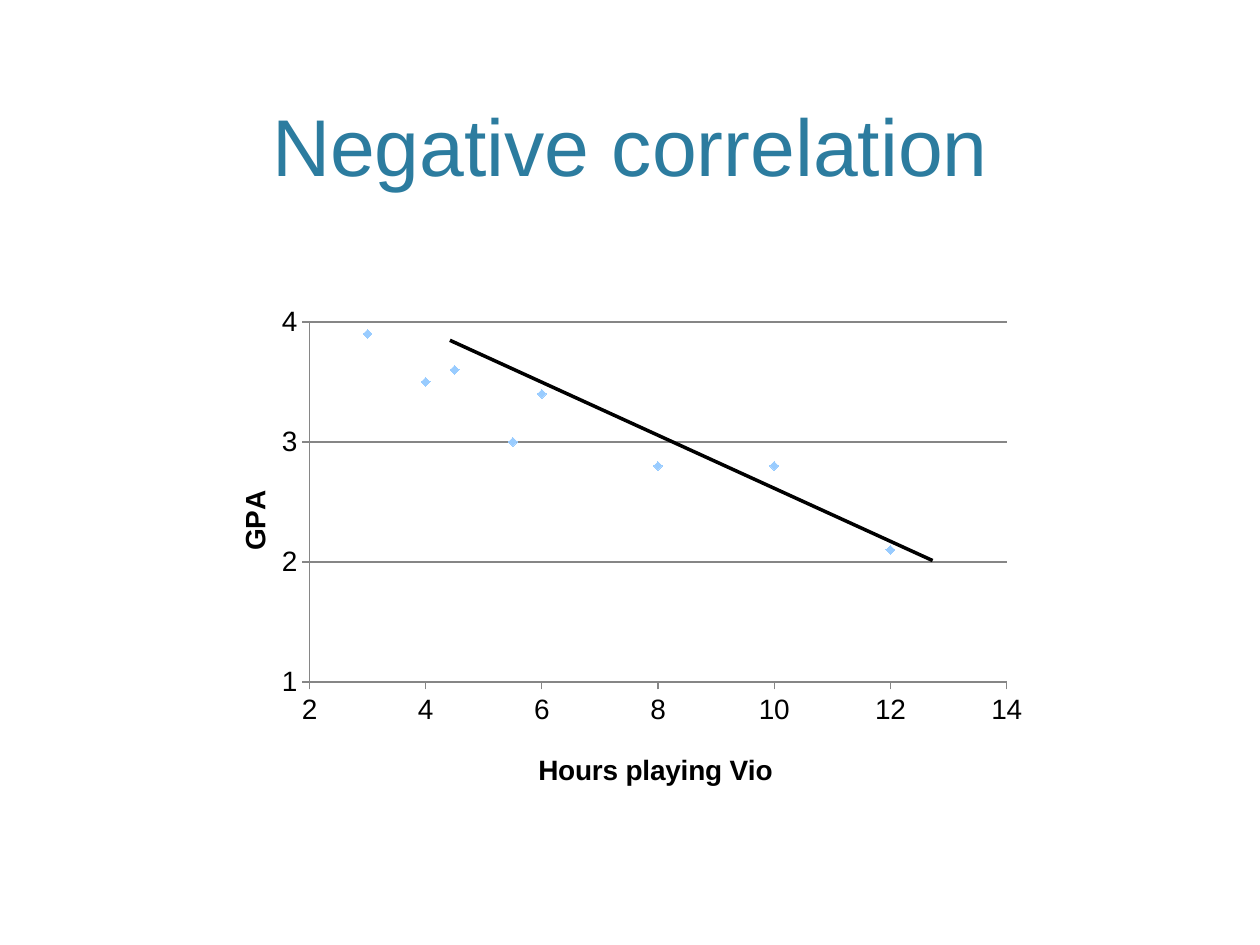
from dataclasses import dataclass

from lxml import etree
from pptx import Presentation
from pptx.chart.data import XyChartData
from pptx.dml.color import RGBColor
from pptx.enum.chart import XL_CHART_TYPE, XL_MARKER_STYLE, XL_TICK_MARK
from pptx.enum.shapes import MSO_CONNECTOR
from pptx.enum.text import MSO_ANCHOR, PP_ALIGN
from pptx.oxml.ns import qn
from pptx.util import Cm, Pt

SCATTER = XL_CHART_TYPE.XY_SCATTER
DIAMOND = XL_MARKER_STYLE.DIAMOND
TICK_OUTSIDE = XL_TICK_MARK.OUTSIDE
TICK_NONE = XL_TICK_MARK.NONE
STRAIGHT = MSO_CONNECTOR.STRAIGHT
BOTTOM = MSO_ANCHOR.BOTTOM
CENTER = PP_ALIGN.CENTER
TITLE_ONLY_LAYOUT = 5


@dataclass(frozen=True)
class Theme:
    font: str = "Arial"
    title_size: int = 46
    chart_size: int = 16
    title_color: RGBColor = RGBColor(0x2C, 0x7C, 0x9F)
    marker_color: RGBColor = RGBColor(0x99, 0xCC, 0xFF)
    axis_color: RGBColor = RGBColor(0x86, 0x86, 0x86)
    ink: RGBColor = RGBColor(0, 0, 0)


THEME = Theme()
HOURS_AND_GPA = [
    (6, 3.4), (5.5, 3), (3, 3.9), (8, 2.8),
    (10, 2.8), (12, 2.1), (4.5, 3.6), (4, 3.5),
]


def format_font(font, size, color, bold=False):
    font.name = THEME.font
    font.size = Pt(size)
    font.bold = bold
    font.color.rgb = color


def write_text(text_frame, text, size, color, bold=False, align=CENTER):
    text_frame.text = text
    paragraph = text_frame.paragraphs[0]
    paragraph.alignment = align
    format_font(paragraph.runs[0].font, size, color, bold)


def set_layout(parent, position, **values):
    layout = parent.find(qn("c:layout"))
    if layout is None:
        layout = etree.Element(qn("c:layout"))
        parent.insert(position, layout)
    for child in list(layout):
        layout.remove(child)
    manual = etree.SubElement(layout, qn("c:manualLayout"))
    for name, value in values.items():
        etree.SubElement(manual, qn(f"c:{name}")).set("val", str(value))


def format_line(line, color, width):
    line.color.rgb = color
    line.width = Pt(width)


def format_axis(axis, title, minimum, maximum, major, left, top, gridlines):
    axis.minimum_scale = minimum
    axis.maximum_scale = maximum
    axis.major_unit = major
    axis.major_tick_mark = TICK_OUTSIDE
    axis.minor_tick_mark = TICK_NONE
    axis.has_major_gridlines = gridlines
    if gridlines:
        format_line(axis.major_gridlines.format.line, THEME.axis_color, 0.75)
    format_line(axis.format.line, THEME.axis_color, 0.75)
    format_font(axis.tick_labels.font, THEME.chart_size, THEME.ink)
    axis.tick_labels.number_format = "General"
    axis.tick_labels.number_format_is_linked = False
    axis_title = axis.axis_title
    write_text(axis_title.text_frame, title, THEME.chart_size, THEME.ink, bold=True)
    set_layout(axis_title._element, 1, xMode="edge", yMode="edge", x=left, y=top)


def add_title(slide, text):
    title = slide.shapes.title
    title.left, title.top = Cm(1.52), Cm(0.3)
    title.width, title.height = Cm(22.35), Cm(3.71)
    title.text_frame.vertical_anchor = BOTTOM
    write_text(title.text_frame, text, THEME.title_size, THEME.title_color)


def add_scatter(slide, points):
    data = XyChartData()
    data_series = data.add_series("Series 1")
    for hours, gpa in points:
        data_series.add_data_point(hours, gpa)
    chart = slide.shapes.add_chart(
        SCATTER, Cm(3.81), Cm(5.72), Cm(17.35), Cm(11), data
    ).chart
    chart.has_title = False
    chart.has_legend = False
    format_font(chart.font, THEME.chart_size, THEME.ink)
    plot = chart.plots[0]
    plot.vary_by_categories = False
    set_layout(
        chart._chartSpace.chart.plotArea, 0, layoutTarget="inner",
        xMode="edge", yMode="edge", x=0.14, y=0.07, w=0.81, h=0.66,
    )
    series = plot.series[0]
    series.smooth = False
    series.format.line.fill.background()
    marker = series.marker
    marker.style = DIAMOND
    marker.size = 5
    marker.format.fill.solid()
    marker.format.fill.fore_color.rgb = THEME.marker_color
    format_line(marker.format.line, THEME.marker_color, 0.75)
    format_axis(chart.category_axis, "Hours playing Vio", 2, 14, 2, 0.4, 0.85, False)
    format_axis(chart.value_axis, "GPA", 1, 4, 1, 0.05, 0.37, True)


def add_line(slide, start, end):
    connector = slide.shapes.add_connector(
        STRAIGHT, *(Cm(length) for length in start + end)
    )
    format_line(connector.line, THEME.ink, 2)
    etree.SubElement(connector._element.spPr, qn("a:effectLst"))


def main():
    presentation = Presentation()
    presentation.slide_width, presentation.slide_height = Cm(25.4), Cm(19.05)
    layout = presentation.slide_layouts[TITLE_ONLY_LAYOUT]
    slide = presentation.slides.add_slide(layout)
    add_title(slide, "Negative correlation")
    add_scatter(slide, HOURS_AND_GPA)
    add_line(slide, (9.07, 6.86), (18.8, 11.3))
    presentation.save("out.pptx")


if __name__ == "__main__":
    main()
